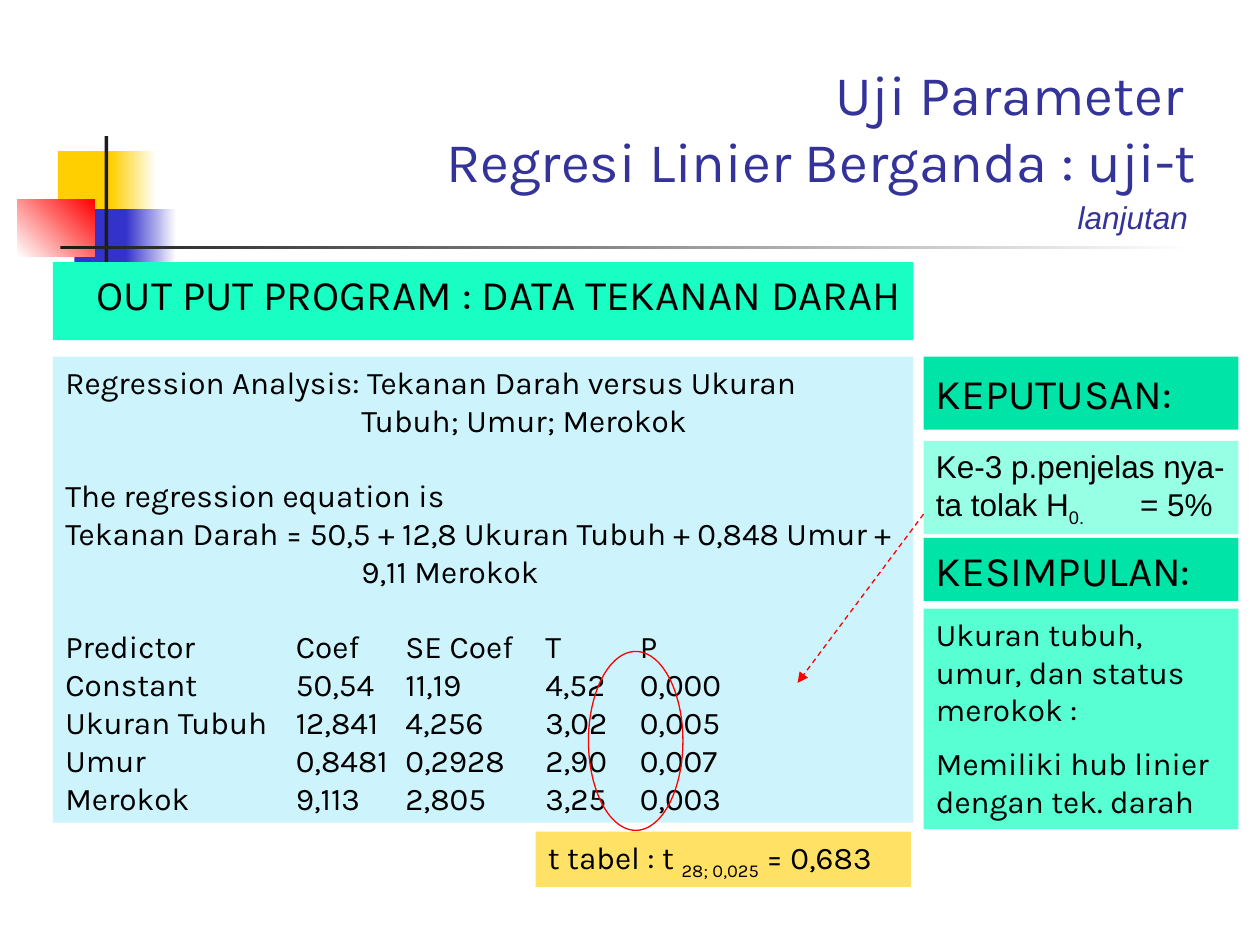
from lxml.etree import SubElement
from pptx import Presentation
from pptx.dml.color import RGBColor
from pptx.enum.dml import MSO_LINE
from pptx.enum.shapes import MSO_CONNECTOR, MSO_SHAPE
from pptx.enum.text import MSO_ANCHOR, PP_ALIGN
from pptx.oxml.ns import qn
from pptx.util import Inches, Pt

BLACK = RGBColor(0, 0, 0)
WHITE = RGBColor(0xFF, 0xFF, 0xFF)
RED = RGBColor(0xFF, 0, 0)
GOLD = RGBColor(0xFF, 0xCF, 0x01)
BLUE = RGBColor(0x33, 0x33, 0xCC)
DARK = RGBColor(0x1C, 0x1C, 0x1C)
NAVY = RGBColor(0x33, 0x33, 0x99)
PALE = RGBColor(0xCD, 0xF4, 0xFD)
GREEN = RGBColor(0x00, 0xE4, 0xA8)
MINT = RGBColor(0x97, 0xFF, 0xE4)
AQUA = RGBColor(0x57, 0xFF, 0xD3)
TEAL = RGBColor(0x19, 0xFF, 0xC3)
SAND = RGBColor(0xFF, 0xE2, 0x65)

LEFT, WIDE = 0.42, 6.83
SIDE, SLIM = 7.33, 2.5
HANG = 2.35
GAP = 21.6
COLS = (1.83, 2.7, 3.81, 4.56)
ROWS = (
    ("Predictor", "Coef", "SE Coef", "T", "P"),
    ("Constant", "50,54", "11,19", "4,52", "0,000"),
    ("Ukuran Tubuh", "12,841", "4,256", "3,02", "0,005"),
    ("Umur", "0,8481", "0,2928", "2,90", "0,007"),
    ("Merokok", "9,113", "2,805", "3,25", "0,003"),
)


def add_rect(slide, x, y, w, h, fill):
    rect = slide.shapes.add_shape(
        MSO_SHAPE.RECTANGLE, Inches(x), Inches(y), Inches(w), Inches(h))
    rect.shadow.inherit = False
    rect.line.fill.background()
    if fill is not None:
        rect.fill.solid()
        rect.fill.fore_color.rgb = fill
    return rect


def add_fade(slide, x, y, w, h, start, end, angle=0):
    """Add a rectangle that blends from one colour to another."""
    fill = add_rect(slide, x, y, w, h, None).fill
    fill.gradient()
    fill.gradient_angle = angle
    for stop, color in zip(fill.gradient_stops, (start, end)):
        stop.color.rgb = color


def set_frame(shape, top=0.05, bottom=0.05, anchor=MSO_ANCHOR.TOP):
    frame = shape.text_frame
    frame.word_wrap = True
    frame.margin_left = frame.margin_right = Inches(0.1)
    frame.margin_top, frame.margin_bottom = Inches(top), Inches(bottom)
    frame.vertical_anchor = anchor
    return frame


def add_box(slide, x, y, w, h, fill, top=0.05, bottom=0.05):
    return set_frame(add_rect(slide, x, y, w, h, fill), top, bottom)


def add_label(slide, x, y, w, h, anchor=MSO_ANCHOR.TOP):
    box = slide.shapes.add_textbox(Inches(x), Inches(y), Inches(w), Inches(h))
    return set_frame(box, anchor=anchor)


def add_para(frame, *runs, size=18, font="Karla", color=BLACK, italic=None,
             align=PP_ALIGN.LEFT, before=0, hang=0, tabs=()):
    """Add a paragraph; a run given as a one-item tuple is a subscript."""
    para = frame.paragraphs[0]
    if para.runs:
        para = frame.add_paragraph()
    para.alignment = align
    para.space_before = Pt(before)
    props = para._p.get_or_add_pPr()
    if hang:
        props.set("marL", str(Inches(hang)))
        props.set("indent", str(-Inches(hang)))
    if tabs:
        stops = SubElement(props, qn("a:tabLst"))
        for pos in tabs:
            SubElement(stops, qn("a:tab"), pos=str(Inches(pos)), algn="l")
    for item in runs:
        if item == "\n":
            para.add_line_break()
            continue
        low = isinstance(item, tuple)
        run = para.add_run()
        run.text = item[0] if low else item
        run.font.name, run.font.size = font, Pt(size)
        run.font.color.rgb, run.font.italic = color, italic
        if low:
            run.font._element.set("baseline", "-25000")


def add_arrow(slide, x1, y1, x2, y2):
    arrow = slide.shapes.add_connector(
        MSO_CONNECTOR.STRAIGHT, Inches(x1), Inches(y1), Inches(x2), Inches(y2))
    arrow.line.color.rgb = RED
    arrow.line.width = Pt(0.75)
    arrow.line.dash_style = MSO_LINE.DASH
    SubElement(arrow.line._get_or_add_ln(), qn("a:tailEnd"), type="triangle")
    SubElement(arrow._element.spPr, qn("a:effectLst"))


def add_ring(slide, x, y, w, h):
    ring = slide.shapes.add_shape(
        MSO_SHAPE.OVAL, Inches(x), Inches(y), Inches(w), Inches(h))
    ring.shadow.inherit = False
    ring.fill.background()
    ring.line.color.rgb = RED
    ring.line.width = Pt(0.75)


def add_motif(slide):
    add_rect(slide, 0.46, 1.2, 0.48, 0.52, GOLD)
    add_fade(slide, 0.88, 1.2, 0.36, 0.52, GOLD, WHITE)
    add_rect(slide, 0.59, 1.66, 0.46, 0.52, BLUE)
    add_fade(slide, 1, 1.66, 0.4, 0.52, BLUE, WHITE)
    add_fade(slide, 0.14, 1.58, 0.61, 0.46, WHITE, RED, 45)
    add_rect(slide, 0.83, 1.08, 0.03, 1.15, DARK)
    add_fade(slide, 0.48, 1.95, 9, 0.03, DARK, WHITE)


def add_title(slide):
    title = add_label(slide, 1.08, 0.42, 8.52, 1.17, MSO_ANCHOR.BOTTOM)
    add_para(title, "Uji Parameter ", "\n", "Regresi Linier Berganda : uji-t",
             size=32, color=NAVY, align=PP_ALIGN.RIGHT)
    note = add_label(slide, 8.33, 1.52, 1.32, 0.4)
    add_para(note, "lanjutan", font="Arial", color=NAVY, italic=True,
             align=PP_ALIGN.CENTER)


def add_output(slide):
    body = add_box(slide, LEFT, 2.83, WIDE, 3.7, PALE)
    add_para(body, "Regression Analysis: Tekanan Darah versus Ukuran "
             "Tubuh; Umur; Merokok", hang=HANG)
    add_para(body, "The regression equation is", before=GAP)
    add_para(body, "Tekanan Darah = 50,5 + 12,8 Ukuran Tubuh + 0,848 Umur + "
             "9,11 Merokok", hang=HANG)
    for row in ROWS:
        add_para(body, "\t".join(row), tabs=COLS,
                 before=GAP if row is ROWS[0] else 0)
    head = add_box(slide, LEFT, 2.08, WIDE, 0.62, TEAL, bottom=0.17)
    add_para(head, "OUT PUT PROGRAM : DATA TEKANAN DARAH", size=24,
             align=PP_ALIGN.RIGHT)


def add_verdict(slide):
    head = add_box(slide, SIDE, 2.83, SLIM, 0.58, GREEN, 0.09, 0.09)
    add_para(head, "KEPUTUSAN:", size=24)
    body = add_box(slide, SIDE, 3.5, SLIM, 0.74, MINT, bottom=0.09)
    add_para(body, "Ke-3 p.penjelas nya-ta tolak H", ("0.",), "\t= 5%",
             font="Arial", tabs=(1.62,))
    head = add_box(slide, SIDE, 4.27, SLIM, 0.5, GREEN)
    add_para(head, "KESIMPULAN:", size=24)
    body = add_box(slide, SIDE, 4.83, SLIM, 1.75, AQUA)
    add_para(body, "Ukuran tubuh, umur, dan status merokok :")
    add_para(body, "Memiliki hub linier dengan tek. darah", before=9)


def main():
    deck = Presentation()
    deck.slide_width, deck.slide_height = Inches(10), Inches(7.5)
    slide = deck.slides.add_slide(deck.slide_layouts[6])
    add_motif(slide)
    add_title(slide)
    add_output(slide)
    add_verdict(slide)
    add_arrow(slide, SIDE, 4.08, 6.33, 5.42)
    table = add_box(slide, 4.25, 6.6, 2.98, 0.44, SAND, bottom=0.09)
    add_para(table, "t tabel : t ", ("28; 0,025",), " = 0,683")
    add_ring(slide, 4.67, 5.17, 0.75, 1.42)
    deck.save("out.pptx")


if __name__ == "__main__":
    main()
